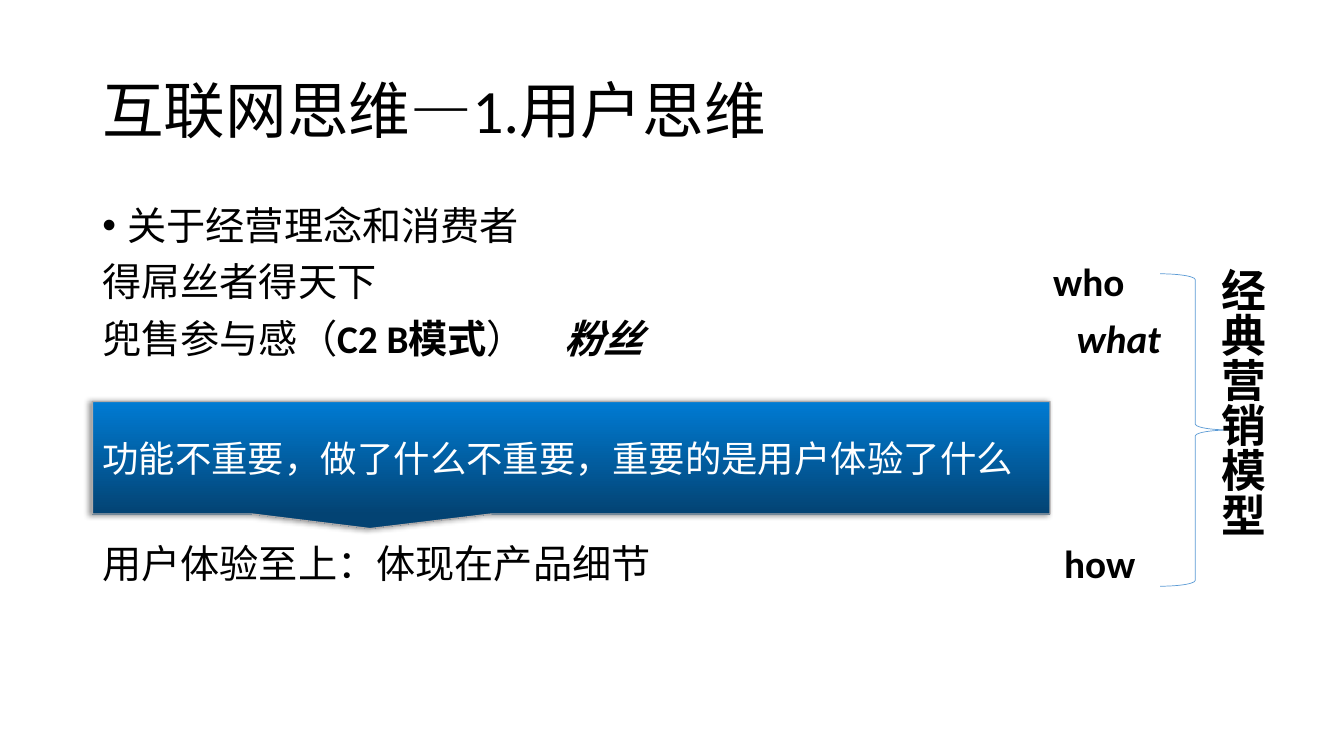
from lxml import etree
from pptx import Presentation
from pptx import util as u
from pptx.dml.color import RGBColor
from pptx.enum import shapes, text
from pptx.oxml import ns

BLACK = RGBColor(0x00, 0x00, 0x00)
WHITE = RGBColor(0xFF, 0xFF, 0xFF)
SKY = RGBColor(0x00, 0x7B, 0xD3)
NAVY = RGBColor(0x03, 0x43, 0x73)
GREY = RGBColor(0xAF, 0xAB, 0xAB)
BLUE = RGBColor(0x5B, 0x9B, 0xD5)

WIDTH, HEIGHT = u.Inches(13.33), u.Inches(7.5)
COLS, ROWS = 16, 9
MARGIN, SPAN = 1.1, 13.8
BULLET_INDENT = 0.3
BOLD = {"bold": True}
BOLD_ITALIC = {"bold": True, "italic": True}
BODY_SPACING = {"line_spacing": 0.9, "space_before": u.Pt(10)}
AFTER_CALLOUT = {"line_spacing": 0.9, "space_before": u.Pt(131)}


def cols(n):
    """Return the width of n grid columns."""
    return int(WIDTH * n / COLS)


def box(left, top, width, height):
    """Turn grid columns and rows into a position and a size."""
    return (cols(left), int(HEIGHT * top / ROWS),
            cols(width), int(HEIGHT * height / ROWS))


def assign(target, values):
    """Set every attribute named in values."""
    for name, value in values.items():
        setattr(target, name, value)


def add_xml(parent, tag, **attrs):
    """Append a DrawingML element and return it."""
    values = {name: str(value) for name, value in attrs.items()}
    return etree.SubElement(parent, ns.qn("a:" + tag), values)


def write(p, runs, size, color=BLACK, spacing=None):
    """Fill a paragraph with (text, font values) runs."""
    assign(p, {"alignment": text.PP_ALIGN.LEFT, **(spacing or {})})
    for words, values in runs:
        r = p.add_run()
        r.text = words
        assign(r.font, {"name": "Calibri", "size": u.Pt(size), **values})
        r.font.color.rgb = color


def add_text(slide, place, **frame):
    """Add a wrapping text box and return its text frame."""
    tf = slide.shapes.add_textbox(*place).text_frame
    assign(tf, {"word_wrap": True, **frame})
    return tf


def add_bullet(p):
    """Give a paragraph a hanging round bullet."""
    pPr = p._p.get_or_add_pPr()
    pPr.set("marL", str(cols(BULLET_INDENT)))
    pPr.set("indent", str(-cols(BULLET_INDENT)))
    add_xml(pPr, "buFont", typeface="Arial")
    add_xml(pPr, "buChar", char="•")


def add_tabs(p, stops):
    """Set left tab stops, given in grid columns."""
    tabs = add_xml(p._p.get_or_add_pPr(), "tabLst")
    for stop in stops:
        add_xml(tabs, "tab", pos=cols(stop), algn="l")


def add_body(slide, place, lines):
    """Add a bulleted heading followed by tabbed lines."""
    tf = add_text(slide, place)
    for i, (runs, stops, spacing) in enumerate(lines):
        p = tf.add_paragraph() if i else tf.paragraphs[0]
        write(p, runs, 28, spacing=spacing)
        if stops:
            add_tabs(p, stops)
        else:
            add_bullet(p)


def add_shape(slide, kind, place, color, width):
    """Add an outlined preset shape without a theme shadow."""
    sp = slide.shapes.add_shape(kind, *place)
    sp.shadow.inherit = False
    sp.line.color.rgb = color
    sp.line.width = u.Pt(width)
    return sp


def add_callout(slide, place, words):
    """Add a shaded callout with a shadow on its left."""
    kind = shapes.MSO_SHAPE.RECTANGULAR_CALLOUT
    sp = add_shape(slide, kind, place, GREY, 1)
    sp.adjustments[0], sp.adjustments[1] = -0.21, 0.63
    sp.fill.gradient()
    sp.fill.gradient_angle = 270
    for stop, color in zip(sp.fill.gradient_stops, (SKY, NAVY)):
        stop.color.rgb = color
    effects = sp.element.spPr.find(ns.qn("a:effectLst"))
    shadow = add_xml(effects, "outerShdw", blurRad=u.Pt(4), dist=u.Pt(3),
                     dir=180 * 60000, algn="r", rotWithShape=0)
    add_xml(add_xml(shadow, "srgbClr", val=BLACK), "alpha", val=40000)
    tf = sp.text_frame
    assign(tf, {"word_wrap": True, "vertical_anchor": text.MSO_ANCHOR.MIDDLE})
    write(tf.paragraphs[0], [(words, {})], 26, WHITE)


def add_vertical_label(slide, place, words):
    """Add a bold label that reads from top to bottom."""
    tf = add_text(slide, place, auto_size=text.MSO_AUTO_SIZE.SHAPE_TO_FIT_TEXT)
    tf._txBody.bodyPr.set("vert", "eaVert")
    write(tf.paragraphs[0], [(words, BOLD)], 32, spacing={"line_spacing": 1.5})


def main():
    """Build the slide on user thinking and save it."""
    prs = Presentation()
    assign(prs, {"slide_width": WIDTH, "slide_height": HEIGHT})
    slide = prs.slides.add_slide(prs.slide_layouts[6])

    title = add_text(slide, box(MARGIN, 0.48, SPAN, 1.74),
                     vertical_anchor=text.MSO_ANCHOR.MIDDLE)
    write(title.paragraphs[0], [("互联网思维—1.用户思维", {})], 44,
          spacing={"line_spacing": 0.9})

    add_body(slide, box(MARGIN, 2.4, SPAN, 6.6), [
        ([("关于经营理念和消费者", {})], [], BODY_SPACING),
        ([("得屌丝者得天下\t", {}), ("who", BOLD)], [11.32], BODY_SPACING),
        ([("兜售参与感（", {}), ("C2 B模式", BOLD), ("）", {}),
          ("\t粉丝\twhat", BOLD_ITALIC)], [5.5, 11.6], BODY_SPACING),
        ([("用户体验至上：体现在产品细节\t", {}), ("how", BOLD)], [11.45],
         AFTER_CALLOUT),
    ])
    add_callout(slide, box(MARGIN, 4.78, 11.4, 1.34),
                "功能不重要，做了什么不重要，重要的是用户体验了什么")

    brace = add_shape(slide, shapes.MSO_SHAPE.RIGHT_BRACE,
                      box(13.81, 3.26, 0.84, 3.72), BLUE, 0.5)
    brace.fill.background()
    add_vertical_label(slide, box(14.28, 3.08, 1.21, 4.49), "经典营销模型")
    prs.save("out.pptx")


main()
